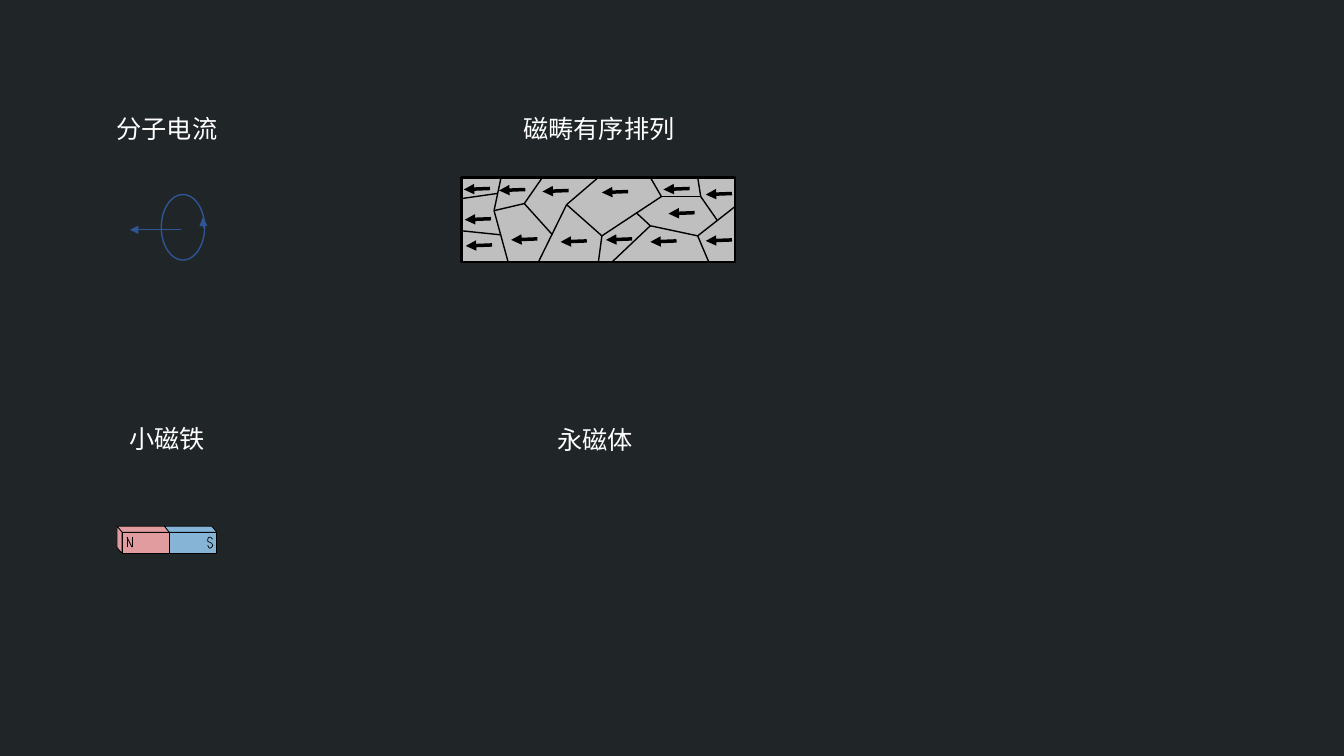
from pptx import Presentation
from pptx.dml.color import RGBColor
from pptx.enum.dml import MSO_LINE
from pptx.enum.shapes import MSO_CONNECTOR, MSO_SHAPE
from pptx.enum.text import PP_ALIGN
from pptx.oxml.ns import qn
from pptx.util import Inches, Pt
from lxml import etree

STRAIGHT = MSO_CONNECTOR.STRAIGHT
RECTANGLE = MSO_SHAPE.RECTANGLE
OVAL = MSO_SHAPE.OVAL
DASH = MSO_LINE.DASH
CENTER = PP_ALIGN.CENTER

FONT = "Noto Sans CJK SC"
BACKGROUND, WHITE, BLACK = "202527", "FFFFFF", "000000"
BLUE, GREY, NORTH, SOUTH = "2F5597", "BFBFBF", "E09C9E", "85B4D6"


def rgb(value):
    return RGBColor.from_string(value)


class Sketch:
    """Draws styled elements into the current group of a slide."""

    def __init__(self, page):
        self.page = page
        self.shapes = page.shapes
        page.background.fill.solid()
        page.background.fill.fore_color.rgb = rgb(BACKGROUND)

    def group(self):
        self.shapes = self.page.shapes.add_group_shape().shapes

    def style(self, shape, fill, color, width):
        shape.shadow.inherit = False
        if fill:
            shape.fill.solid()
            shape.fill.fore_color.rgb = rgb(fill)
        else:
            shape.fill.background()
        shape.line.color.rgb = rgb(color)
        shape.line.width = Pt(width)
        return shape

    def shape(self, kind, left, top, width, height, fill=None, color=BLACK, weight=0.5):
        frame = [Inches(v) for v in (left, top, width, height)]
        return self.style(self.shapes.add_shape(kind, *frame), fill, color, weight)

    def outline(self, points, fill=None, weight=0.5):
        corners = [(Inches(x), Inches(y)) for x, y in points]
        builder = self.shapes.build_freeform(*corners[0], scale=1.0)
        builder.add_line_segments(corners[1:], close=bool(fill))
        return self.style(builder.convert_to_shape(), fill, BLACK, weight)

    def line(self, start, end, color=BLACK, weight=1, arrow=False, dash=None):
        ends = [Inches(v) for v in (*start, *end)]
        line = self.shapes.add_connector(STRAIGHT, *ends)
        line.line.color.rgb = rgb(color)
        line.line.width = Pt(weight)
        if dash:
            line.line.dash_style = dash
        if arrow:
            stroke = line.line._get_or_add_ln()
            etree.SubElement(stroke, qn("a:tailEnd"), type="triangle")
        etree.SubElement(line._element.spPr, qn("a:effectLst"))
        return line

    def label(self, text, left, top, width, size=18, color=WHITE):
        box = self.page.shapes.add_textbox(
            Inches(left), Inches(top), Inches(width), Inches(0.4))
        box.text_frame.word_wrap = False
        para = box.text_frame.paragraphs[0]
        para.alignment = CENTER
        span = para.add_run()
        span.text = text
        span.font.size = Pt(size)
        span.font.color.rgb = rgb(color)
        span.font.name = FONT
        etree.SubElement(span.font._element, qn("a:ea"), typeface=FONT)


def draw_current(sketch):
    sketch.group()
    sketch.shape(OVAL, 1.6, 1.93, 0.43, 0.65, color=BLUE, weight=1)
    sketch.line((2.02, 2.26), (2.01, 2.16), color=BLUE, arrow=True, dash=DASH)
    sketch.line((1.8, 2.28), (1.29, 2.28), color=BLUE, weight=0.5, arrow=True)


def draw_domains(sketch):
    left, top, right, bottom = 4.58, 1.76, 7.29, 2.6
    middle = (left + right) / 2
    walls = [
        ((7.03, bottom), (6.92, 2.34)), ((6.92, 2.34), (right, 2.05)),
        ((7.11, 2.18), (6.95, 1.95)), ((6.95, 1.95), (6.92, top)),
        ((6.95, 1.95), (6.56, 1.95)), ((6.56, 1.95), (6.45, top)),
        ((6.92, 2.34), (6.45, 2.24)), ((6.45, 2.24), (6.07, bottom)),
        ((6.45, 2.24), (6.31, 2.11)), ((6.56, 1.95), (5.97, 2.34)),
        ((5.97, 2.34), (5.62, 2.03)), ((5.62, 2.03), (5.34, bottom)),
        ((5.48, 2.33), (5.2, 2.02)), ((5.2, 2.02), (5.38, top)),
        ((5.2, 2.02), (4.9, 2.09)), ((4.9, 2.09), (5.04, bottom)),
        ((4.97, 2.33), (left, 2.29)), ((4.9, 2.09), (4.97, top)),
        ((4.93, 1.92), (left, 1.97)),
    ]
    arrow_starts = [
        (7.26, 2.38), (7.26, 1.92), (6.89, 2.11), (6.71, 2.39), (6.84, 1.87),
        (6.27, 2.37), (6.23, 1.9), (5.82, 2.39), (5.64, 1.89), (5.33, 2.37),
        (4.88, 2.43), (4.87, 2.17), (5.21, 1.88), (4.86, 1.87),
    ]
    sketch.group()
    slab = sketch.shape(RECTANGLE, left, top, right - left, bottom - top, GREY, weight=2)
    for start, end in walls:
        sketch.line(start, end)
    sketch.line((5.97, 2.34), (middle, bottom)).end_connect(slab, 2)
    sketch.line((5.62, 2.03), (middle, top)).end_connect(slab, 0)
    for x, y in arrow_starts:
        sketch.line((x, y), (x - 0.26, y + 0.01), weight=2.5, arrow=True)


def draw_magnet(sketch):
    left, top, bottom, half = 1.21, 5.28, 5.49, 0.47
    depth, rise = 0.05, 0.06
    sketch.group()
    for x, fill in ((left, NORTH), (left + half, SOUTH)):
        sketch.shape(RECTANGLE, x, top, half, bottom - top, fill)
        sketch.outline([(x - depth, top - rise), (x + half - depth, top - rise),
                        (x + half, top), (x, top)], fill)
    sketch.outline([(left - depth, top - rise), (left, top),
                    (left, bottom), (left - depth, bottom - rise)], NORTH)
    for start, end in ((1.26, 1.26), (1.26, 1.31), (1.31, 1.31)):
        sketch.line((start, 5.33), (end, 5.43), weight=0.5)
    sketch.outline([(2.11, 5.35), (2.09, 5.33), (2.07, 5.33), (2.06, 5.35),
                    (2.06, 5.37), (2.08, 5.38), (2.1, 5.39), (2.11, 5.41),
                    (2.1, 5.43), (2.08, 5.44), (2.07, 5.43), (2.06, 5.41)])


def main():
    deck = Presentation()
    deck.slide_width, deck.slide_height = Inches(13.33), Inches(7.5)
    sketch = Sketch(deck.slides.add_slide(deck.slide_layouts[6]))
    draw_current(sketch)
    draw_domains(sketch)
    draw_magnet(sketch)
    sketch.label("分子电流", 1.05, 1.08, 1.21)
    sketch.label("小磁铁", 1.18, 4.15, 0.96)
    sketch.label("磁畴有序排列", 5.08, 1.08, 1.72)
    sketch.label("永磁体", 5.42, 4.16, 0.96)
    deck.save("out.pptx")


if __name__ == "__main__":
    main()
